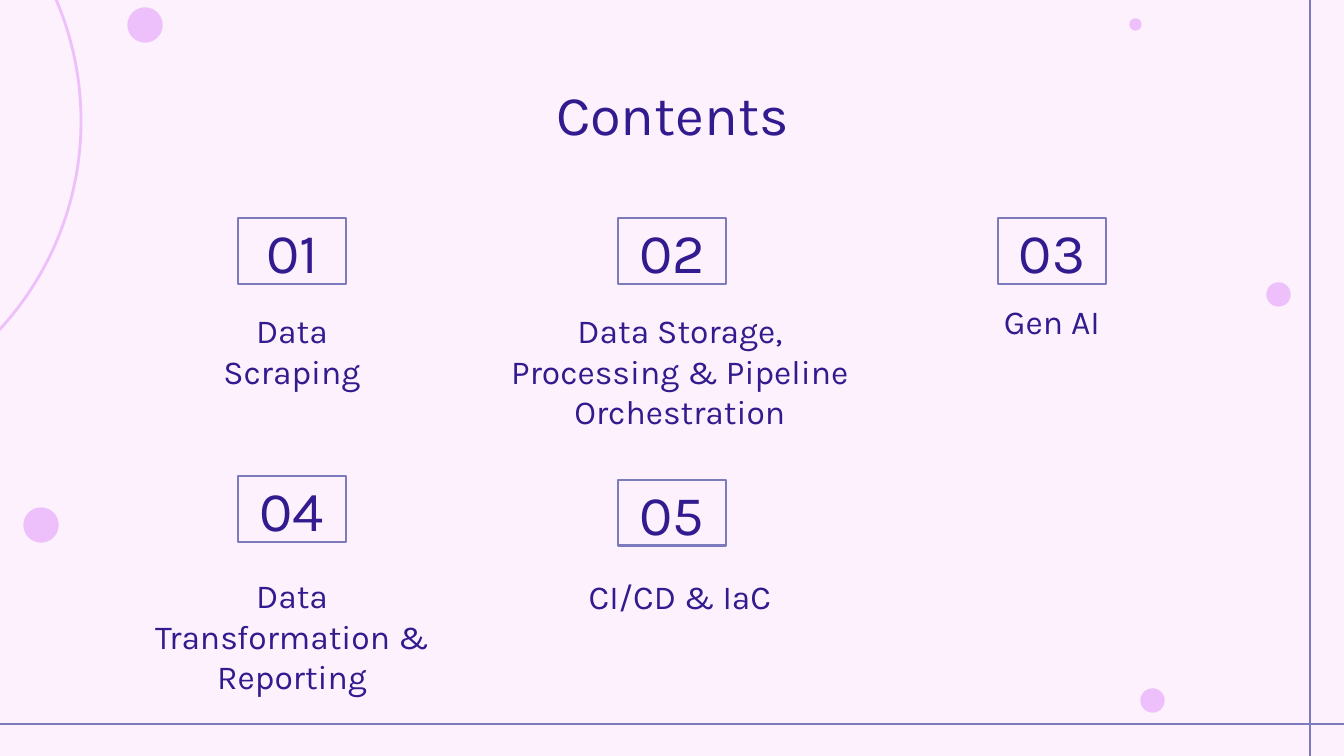
from lxml import etree
from pptx import Presentation
from pptx.dml.color import RGBColor
from pptx.enum.shapes import MSO_CONNECTOR, MSO_SHAPE
from pptx.enum.text import MSO_ANCHOR, PP_ALIGN
from pptx.oxml.ns import qn
from pptx.util import Inches, Pt

PX = Inches(10) / 1344
WIDTH, HEIGHT = 1344, 756
INSET = Inches(0.1)
TITLE_ONLY = 5
OVAL, RECTANGLE = MSO_SHAPE.OVAL, MSO_SHAPE.RECTANGLE
STRAIGHT = MSO_CONNECTOR.STRAIGHT
TOP, MIDDLE, CENTER = MSO_ANCHOR.TOP, MSO_ANCHOR.MIDDLE, PP_ALIGN.CENTER

FONT = "Karla"
BACKGROUND = RGBColor(0xFC, 0xF1, 0xFC)
PINK = RGBColor(0xEE, 0xC0, 0xFB)
BLUE = RGBColor(0x7B, 0x7B, 0xBE)
INDIGO = RGBColor(0x31, 0x1B, 0x8E)

# Content: number, caption, column, number top,
# caption centre offset, caption top, width and height
TITLE = "Contents"
SECTIONS = [
    ("01", "Data Scraping", 0, 218, 0, 297, 218, 118),
    ("02", "Data Storage, Processing & Pipeline Orchestration", 1, 218, 8, 297, 372, 149),
    ("03", "Gen AI", 2, 218, 0, 288, 372, 102),
    ("04", "Data Transformation & Reporting", 0, 476, 0, 562, 317, 149),
    ("05", "CI/CD & IaC", 1, 480, 8, 563, 372, 102),
]
FIRST_CENTER, COLUMN_STEP = 292, 380
NUMBER_WIDTH, NUMBER_HEIGHT = 108, 66

# Decoration: left, top, diameter of dots; ends of frame lines
RING = (-535, -187, 616)
DOTS = [(128, 8, 34), (1141, 689, 23), (1130, 19, 11), (1267, 283, 23), (24, 508, 34)]
FRAME_LINES = [(1310, 0, 1310, HEIGHT), (0, 724, WIDTH, 724)]


def px(*lengths):
    return [round(length * PX) for length in lengths]


def add_outlined(kind, left, top, width, height, color, weight, filled=False):
    shape = slide.shapes.add_shape(kind, *px(left, top, width, height))
    shape.shadow.inherit = False
    if filled:
        shape.fill.solid()
        shape.fill.fore_color.rgb = color
    else:
        shape.fill.background()
    shape.line.color.rgb = color
    shape.line.width = Pt(weight)
    return shape


def write(box, text, size, anchor=TOP):
    frame = box.text_frame
    frame.text = text
    frame.word_wrap = True
    frame.vertical_anchor = anchor
    frame.margin_left = frame.margin_right = INSET
    frame.margin_top = frame.margin_bottom = INSET
    para = frame.paragraphs[0]
    para.alignment = CENTER
    para.line_spacing = 1.0
    font = para.runs[0].font
    font.name = FONT
    font.size = Pt(size)
    font.color.rgb = INDIGO


deck = Presentation()
deck.slide_width, deck.slide_height = px(WIDTH, HEIGHT)
slide = deck.slides.add_slide(deck.slide_layouts[TITLE_ONLY])
slide.background.fill.solid()
slide.background.fill.fore_color.rgb = BACKGROUND

# Ring and dots
left, top, size = RING
add_outlined(OVAL, left, top, size, size, PINK, 1.5)
for left, top, size in DOTS:
    add_outlined(OVAL, left, top, size, size, PINK, 0.75, filled=True)

# Frame lines
for ends in FRAME_LINES:
    line = slide.shapes.add_connector(STRAIGHT, *px(*ends))
    line.line.color.rgb = BLUE
    line.line.width = Pt(1.5)
    etree.SubElement(line._element.spPr, qn("a:effectLst"))

# Title
title = slide.shapes.title
title.left, title.top, title.width, title.height = px(106, 66, 1133, 85)
write(title, TITLE, 30)

# Numbered sections
for number, caption, column, number_top, offset, top, width, height in SECTIONS:
    center = FIRST_CENTER + column * COLUMN_STEP
    number_box = add_outlined(RECTANGLE, center - NUMBER_WIDTH / 2, number_top,
                              NUMBER_WIDTH, NUMBER_HEIGHT, BLUE, 1.5)
    write(number_box, number, 30, MIDDLE)
    caption_box = slide.shapes.add_textbox(
        *px(center + offset - width / 2, top, width, height))
    write(caption_box, caption, 18)

deck.save("out.pptx")
